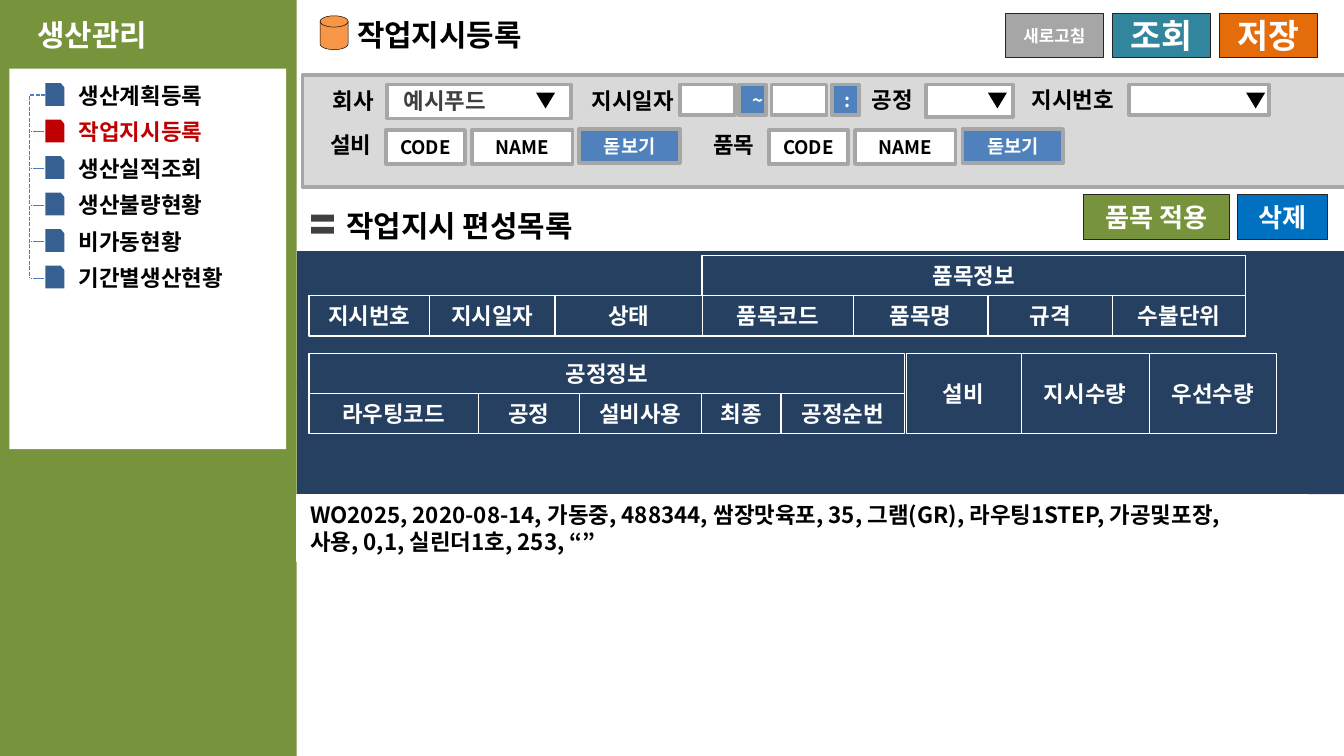
from dataclasses import dataclass

from lxml import etree
from pptx import Presentation
from pptx.dml.color import RGBColor
from pptx.enum.dml import MSO_LINE
from pptx.enum.shapes import MSO_CONNECTOR, MSO_SHAPE
from pptx.enum.text import MSO_ANCHOR, MSO_AUTO_SIZE, PP_ALIGN
from pptx.oxml.ns import qn
from pptx.util import Cm, Pt

RECT, DISK = MSO_SHAPE.RECTANGLE, MSO_SHAPE.FLOWCHART_MAGNETIC_DISK
CARD, WEDGE = MSO_SHAPE.FLOWCHART_CARD, MSO_SHAPE.ISOSCELES_TRIANGLE
LEFT, MID = PP_ALIGN.LEFT, PP_ALIGN.CENTER
TOP, HALF = MSO_ANCHOR.TOP, MSO_ANCHOR.MIDDLE
GROW, FIXED = MSO_AUTO_SIZE.SHAPE_TO_FIT_TEXT, MSO_AUTO_SIZE.NONE
LINE, BEND, DASH = MSO_CONNECTOR.STRAIGHT, MSO_CONNECTOR.ELBOW, MSO_LINE.SQUARE_DOT


@dataclass(frozen=True)
class Theme:
    font: str = "Noto Sans CJK KR"
    white: str = "FFFFFF"
    black: str = "000000"
    green: str = "77933C"
    navy: str = "254061"
    steel: str = "376092"
    blue: str = "4F81BD"
    sky: str = "0070C0"
    dash: str = "4B7EBC"
    teal: str = "31859C"
    red: str = "C00000"
    rust: str = "E46C0A"
    peach: str = "F79646"
    pale: str = "D9D9D9"
    gray: str = "A6A6A6"
    dark: str = "404040"
    rim: str = "262626"
    huge: int = 18
    head: int = 16
    big: int = 14
    base: int = 12
    small: int = 10
    tiny: int = 9


T = Theme()

deck = Presentation()
deck.slide_width, deck.slide_height = Cm(25.4), Cm(14.29)
slide = deck.slides.add_slide(deck.slide_layouts[6])
parts = slide.shapes


def put(x, y, wide, high, text="", kind=RECT, fill=None, edge=None, thick=0.25,
        size=T.base, ink=T.black, align=LEFT, hold=TOP):
    place = [Cm(v) for v in (x, y, wide, high)]
    if kind is None:
        part = parts.add_textbox(*place)
    else:
        part = parts.add_shape(kind, *place)
        part.shadow.inherit = False
        for look, tint in ((part.fill, fill), (part.line.fill, edge)):
            if tint:
                look.solid()
                look.fore_color.rgb = RGBColor.from_string(tint)
            else:
                look.background()
        if edge:
            part.line.width = Pt(thick)
    if text:
        frame = part.text_frame
        form = {"word_wrap": True, "vertical_anchor": hold,
                "auto_size": GROW if hold == TOP else FIXED}
        for key, val in form.items():
            setattr(frame, key, val)
        frame.text = text
        for para in frame.paragraphs:
            para.alignment = align
            for run in para.runs:
                run.font.color.rgb = RGBColor.from_string(ink)
                for key, val in {"size": Pt(size), "bold": True, "name": T.font}.items():
                    setattr(run.font, key, val)
                etree.SubElement(run.font._element, qn("a:ea")).set("typeface", T.font)
    return part


def link(kind, start, end, thick):
    wire = parts.add_connector(kind, *[Cm(v) for v in (*start, *end)])
    wire.line.color.rgb = RGBColor.from_string(T.dash)
    wire.line.width = Pt(thick)
    wire.line.dash_style = DASH
    etree.SubElement(wire._element.spPr, qn("a:effectLst"))
    return wire


WORD = {"kind": None}
FIELD = {"fill": T.white, "edge": T.gray, "thick": 2, "size": T.small,
         "align": MID, "hold": HALF}
KEY = {**FIELD, "fill": T.blue, "ink": T.white}
PUSH = {"edge": T.rim, "ink": T.white, "align": MID, "hold": HALF}
CELL = {"edge": T.white, "thick": 0.75, "ink": T.white, "align": MID}
TALL = {**CELL, "thick": 0.25, "hold": HALF}

put(5.61, 7.16, 19.79, 2.18, fill=T.navy)
put(5.61, 4.75, 19.79, 2.54, fill=T.navy)
put(0, 0, 5.61, 14.29, fill=T.green)
put(0.46, 0.2, 4.39, 0.94, "생산관리", size=T.head, ink=T.white, **WORD)
put(0.18, 1.3, 5.23, 7.19, fill=T.white)

menu = ["생산계획등록", "작업지시등록", "생산실적조회", "생산불량현황", "비가동현황", "기간별생산현황"]
for i, name in enumerate(menu):
    step = 0.69 * i
    live = name == "작업지시등록"
    put(1.24, 1.42 + step, 3.71, 0.76, name, ink=T.red if live else T.black, **WORD)
    card = put(0.86, 1.57 + step, 0.36, 0.43, kind=CARD, fill=T.red if live else T.steel)
    card._element.spPr.find(qn("a:xfrm")).set("flipH", "1")
    if i:
        link(LINE, (0.58, 1.8 + step), (0.83, 1.8 + step), 0.25)
trunk = link(BEND, (0.86, 1.8), (0.56, 5.26), 0.75)
trunk._element.spPr.find(qn("a:prstGeom")).set("prst", "bentConnector2")

put(6.5, 0.2, 5.08, 0.94, "작업지시등록", size=T.head, **WORD)
put(6.05, 0.3, 0.53, 0.64, kind=DISK, fill=T.peach, edge=T.black)
tools = [("새로고침", T.gray, T.tiny), ("조회", T.teal, T.huge), ("저장", T.rust, T.huge)]
for i, (name, tint, size) in enumerate(tools):
    put(19 + 2.02 * i, 0.25, 1.85, 0.84, name, fill=tint, size=size, **PUSH)

put(5.72, 1.42, 19.79, 2.11, fill=T.pale, edge=T.gray, thick=2)
for x, wide, high in [(7.32, 3.48, 0.64), (12.85, 1.04, 0.58), (14.58, 1.04, 0.58),
                      (17.5, 1.65, 0.61), (21.34, 2.64, 0.58)]:
    put(x, 1.6, wide, high, **FIELD)
for x, sign in [(13.97, "~"), (15.72, ":")]:
    put(x, 1.6, 0.51, 0.58, sign, **KEY)
for x in (10.13, 18.67, 23.55):
    put(x, 1.75, 0.36, 0.3, kind=WEDGE, fill=T.black).rotation = 180
for x, y, wide, name, align, ink in [
        (5.84, 1.52, 1.68, "회사", MID, T.black),
        (7.29, 1.52, 2.24, "예시푸드", MID, T.dark),
        (10.64, 1.52, 2.64, "지시일자", MID, T.black),
        (16.23, 1.5, 1.52, "공정", LEFT, T.black),
        (19.25, 1.5, 2.24, "지시번호", LEFT, T.black)]:
    put(x, y, wide, 0.76, name, align=align, ink=ink, **WORD)
for x, name in [(5.99, "설비"), (13.23, "품목")]:
    put(x, 2.36, 1.52, 0.76, name, **WORD)
    put(x + 1.3, 2.46, 1.5, 0.64, "CODE", **FIELD)
    put(x + 2.93, 2.46, 1.9, 0.64, "NAME", **FIELD)
    put(x + 4.96, 2.44, 1.9, 0.64, "돋보기", **KEY)

put(6.3, 3.81, 6.81, 0.94, "작업지시 편성목록", size=T.head, **WORD)
for y in (4.06, 4.29):
    put(5.88, y, 0.43, 0.13, fill=T.dark)
for x, wide, name, tint in [(20.47, 2.77, "품목 적용", T.green), (23.39, 1.7, "삭제", T.sky)]:
    put(x, 3.68, wide, 0.84, name, fill=tint, size=T.big, **PUSH)

rows = [
    (4.83, 0.76, CELL, [13.27, 23.54], ["품목정보"]),
    (5.59, 0.76, CELL, [5.84, 8.12, 10.49, 13.28, 16.13, 18.67, 21.03, 23.54],
     ["지시번호", "지시일자", "상태", "품목코드", "품목명", "규격", "수불단위"]),
    (6.68, 0.76, CELL, [5.84, 17.1], ["공정정보"]),
    (7.44, 0.76, CELL, [5.84, 9.04, 10.95, 13.26, 14.76, 17.1],
     ["라우팅코드", "공정", "설비사용", "최종", "공정순번"]),
    (6.68, 1.52, TALL, [17.12, 19.3, 21.72, 24.13], ["설비", "지시수량", "우선수량"]),
]
for y, high, form, marks, names in rows:
    for x, end, name in zip(marks, marks[1:], names):
        put(x, y, end - x, high, name, **form)

put(5.61, 9.35, 19.1, 1.27,
    "WO2025, 2020-08-14, 가동중, 488344, 쌈장맛육포, 35, 그램(GR), 라우팅1STEP, 가공및포장,\n"
    "사용, 0,1, 실린더1호, 253, “”", edge=T.white, thick=0.75)

deck.save("out.pptx")
